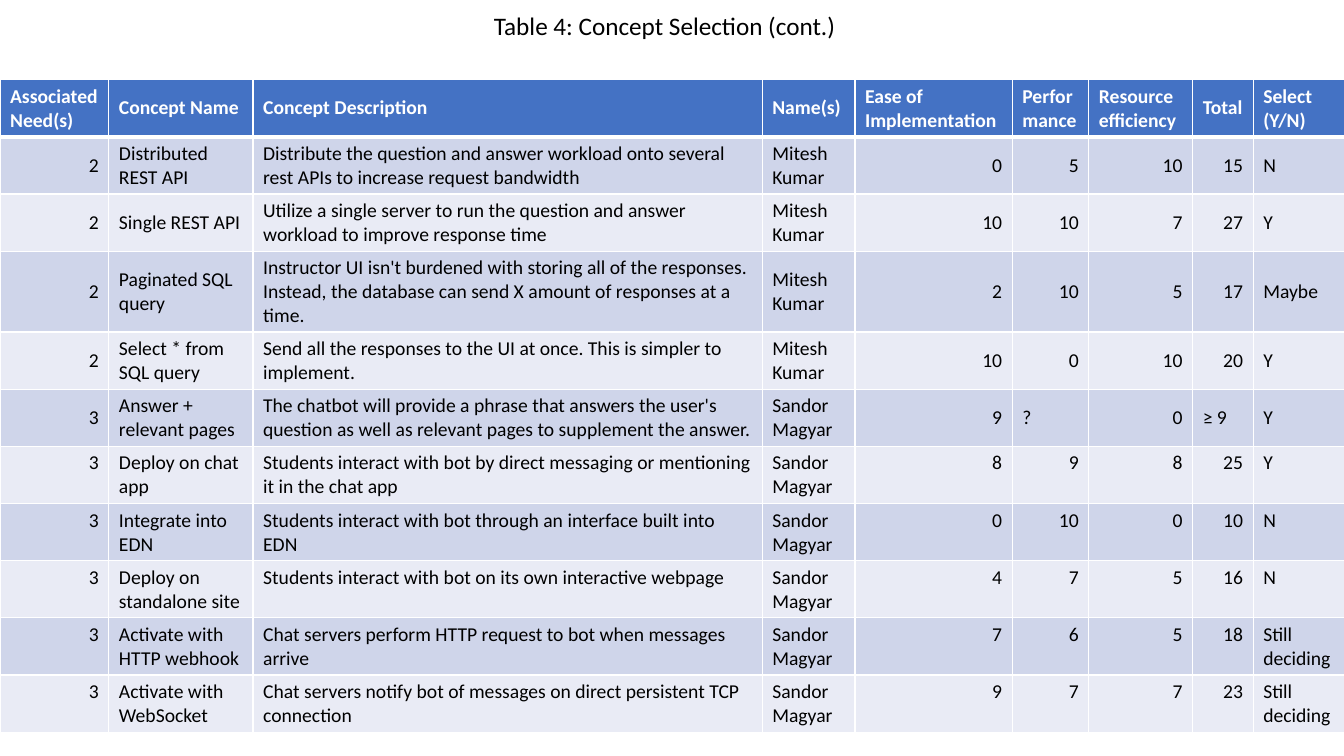
from lxml import etree
from pptx import Presentation
from pptx.dml.color import RGBColor
from pptx.enum.text import MSO_ANCHOR, MSO_AUTO_SIZE, PP_ALIGN
from pptx.oxml.ns import qn
from pptx.util import Inches, Pt

LEFT, RIGHT = PP_ALIGN.LEFT, PP_ALIGN.RIGHT
TOP, MIDDLE = MSO_ANCHOR.TOP, MSO_ANCHOR.MIDDLE
GROW = MSO_AUTO_SIZE.SHAPE_TO_FIT_TEXT

COLORS = {"head": "4472C4", "odd": "CFD5EA", "even": "E9EBF5",
          "white": "FFFFFF", "black": "000000"}

WIDTHS = [1.08, 1.43, 5.05, 0.92, 1.56, 0.76, 1.03, 0.6, 0.91]
HEADS = ["Associated Need(s)", "Concept Name", "Concept Description",
         "Name(s)", "Ease of Implementation", "Performance",
         "Resource efficiency", "Total", "Select (Y/N)"]
MITESH, SANDOR = "Mitesh Kumar", "Sandor Magyar"
CONCEPTS = [
    ("2", "Distributed REST API",
     "Distribute the question and answer workload onto several rest APIs "
     "to increase request bandwidth",
     MITESH, "0", "5", "10", "15", "N"),
    ("2", "Single REST API",
     "Utilize a single server to run the question and answer workload "
     "to improve response time",
     MITESH, "10", "10", "7", "27", "Y"),
    ("2", "Paginated SQL query",
     "Instructor UI isn't burdened with storing all of the responses. "
     "Instead, the database can send X amount of responses at a time.",
     MITESH, "2", "10", "5", "17", "Maybe"),
    ("2", "Select * from SQL query",
     "Send all the responses to the UI at once. "
     "This is simpler to implement.",
     MITESH, "10", "0", "10", "20", "Y"),
    ("3", "Answer + relevant pages",
     "The chatbot will provide a phrase that answers the user's question "
     "as well as relevant pages to supplement the answer.",
     SANDOR, "9", "?", "0", "≥ 9", "Y"),
    ("3", "Deploy on chat app",
     "Students interact with bot by direct messaging or mentioning "
     "it in the chat app",
     SANDOR, "8", "9", "8", "25", "Y"),
    ("3", "Integrate into EDN",
     "Students interact with bot through an interface built into EDN",
     SANDOR, "0", "10", "0", "10", "N"),
    ("3", "Deploy on standalone site",
     "Students interact with bot on its own interactive webpage",
     SANDOR, "4", "7", "5", "16", "N"),
    ("3", "Activate with HTTP webhook",
     "Chat servers perform HTTP request to bot when messages arrive",
     SANDOR, "7", "6", "5", "18", "Still deciding"),
    ("3", "Activate with WebSocket",
     "Chat servers notify bot of messages on direct persistent "
     "TCP connection",
     SANDOR, "9", "7", "7", "23", "Still deciding"),
]
CENTERED = 5  # the last concept row whose text sits mid-height


def write(frame, text, size=14, color="black", bold=False, align=LEFT):
    para = frame.paragraphs[0]
    para.alignment = align
    run = para.add_run()
    run.text = text
    font = run.font
    font.name, font.size, font.bold = "Calibri", Pt(size), bold
    font.color.rgb = RGBColor.from_string(COLORS[color])


def border(cell, **widths):
    """Draw white cell edges; widths are points keyed L, R, T and B."""
    props = cell._tc.get_or_add_tcPr()
    for spot, (side, width) in enumerate(widths.items()):
        line = etree.Element(qn(f"a:ln{side}"), w=str(Pt(width)))
        fill = etree.SubElement(line, qn("a:solidFill"))
        etree.SubElement(fill, qn("a:srgbClr"), val=COLORS["white"])
        props.insert(spot, line)


class Deck:
    def __init__(self):
        self.file = Presentation()
        self.file.slide_width = Inches(13.33)
        self.file.slide_height = Inches(7.5)
        self.slide = self.file.slides.add_slide(self.file.slide_layouts[6])

    def title(self, text, *box):
        frame = self.slide.shapes.add_textbox(*map(Inches, box)).text_frame
        frame.word_wrap = True
        frame.auto_size = GROW
        write(frame, text, size=18)

    def cell(self, cell, text, row):
        head = row == 0
        shade = "head" if head else "odd" if row % 2 else "even"
        cell.fill.solid()
        cell.fill.fore_color.rgb = RGBColor.from_string(COLORS[shade])
        cell.vertical_anchor = MIDDLE if row <= CENTERED else TOP
        border(cell, L=1, R=1, T=3 if row == 1 else 1, B=3 if head else 1)
        write(cell.text_frame, text, color="white" if head else "black",
              bold=head, align=RIGHT if text.isdigit() else LEFT)

    def table(self, data, widths, *box):
        shape = self.slide.shapes.add_table(
            len(data), len(widths), *map(Inches, box))
        table = shape.table
        for column, width in zip(table.columns, widths):
            column.width = Inches(width)
        for index, (row, texts) in enumerate(zip(table.rows, data)):
            row.height = Inches(0.41)
            for cell, text in zip(row.cells, texts):
                self.cell(cell, text, index)
        shape.height = Inches(box[3])


def main():
    deck = Deck()
    deck.title("Table 4: Concept Selection (cont.)", 4.8, 0.05, 3.88, 0.4)
    deck.table([HEADS, *CONCEPTS], WIDTHS, 0, 0.79, 13.33, 6.47)
    deck.file.save("out.pptx")


if __name__ == "__main__":
    main()
